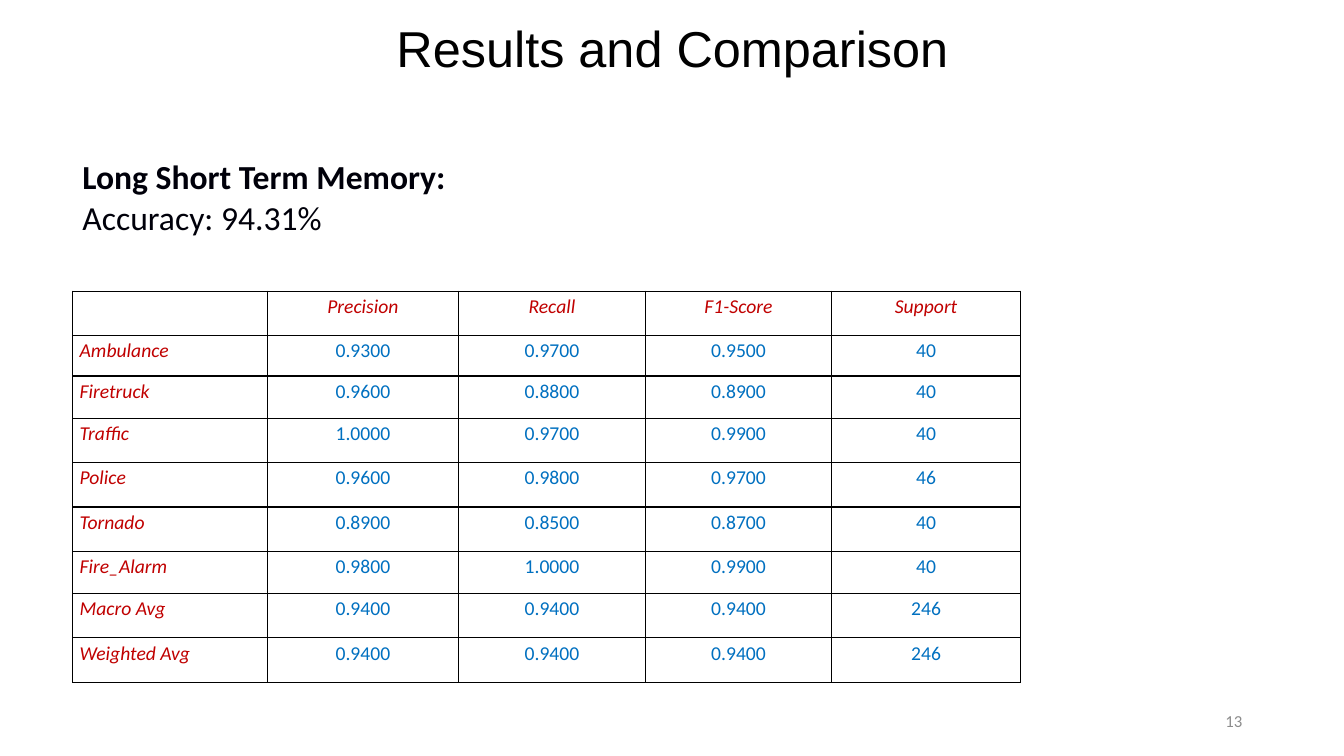
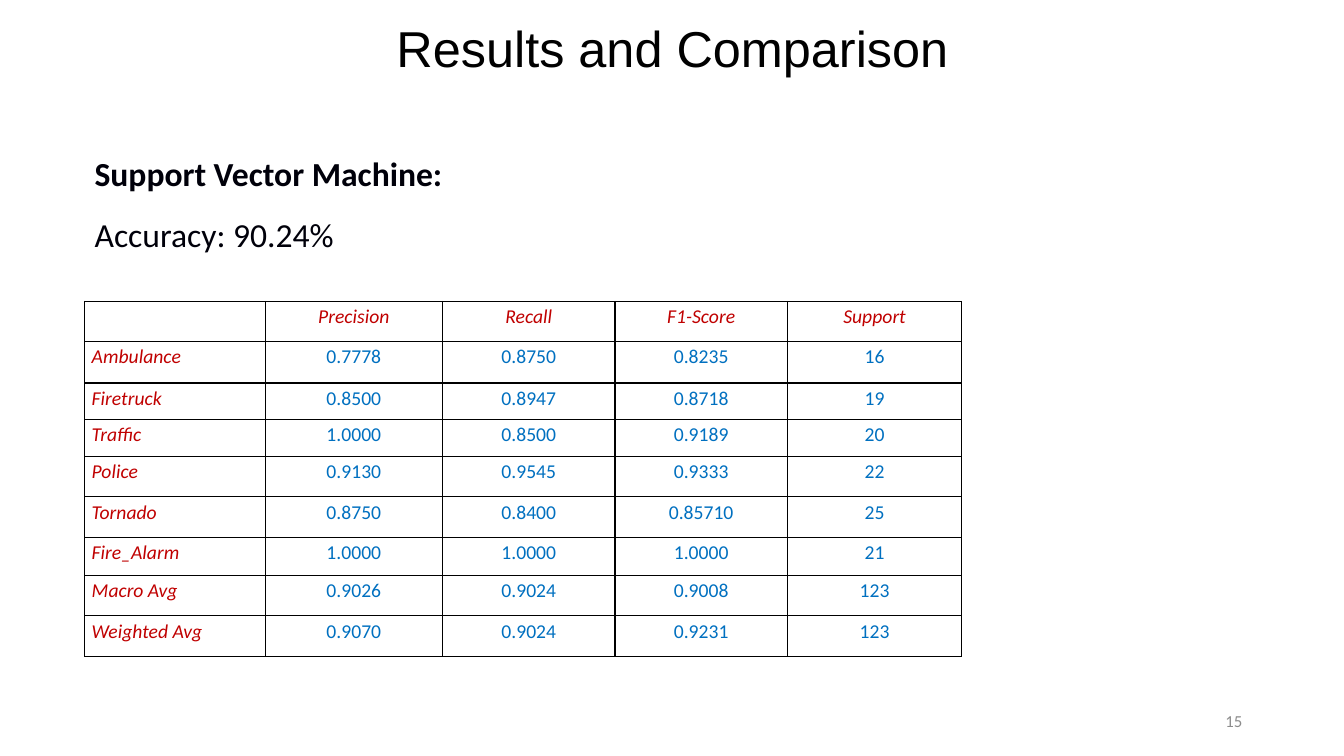
"""Build two slides that compare classifier results."""
from lxml import etree
from pptx import Presentation
from pptx import util as u
from pptx.dml.color import RGBColor
from pptx.enum import text
from pptx.oxml import ns

HUES = {"title": "000000", "body": "00000A", "label": "C00000",
        "value": "0070C0", "page": "8C8C8C", "rule": "000000"}
TITLE = "Results and Comparison"
HEADS = ["", "Precision", "Recall", "F1-Score", "Support"]
NAMES = ["Ambulance", "Firetruck", "Traffic", "Police", "Tornado",
         "Fire_Alarm", "Macro Avg", "Weighted Avg"]
SLIDES = [
    {
        "page": "13", "model": "Long Short Term Memory:", "score": "Accuracy: 94.31%",
        "box": (0.72, 1.5, 3.84, 0.91), "wrap": False, "lead": 1, "after": 0,
        "table": (0.72, 2.89),
        "cols": [1.93, 1.9, 1.85, 1.85, 1.87],
        "rows": [0.44, 0.4, 0.42, 0.44, 0.44, 0.44, 0.42, 0.44, 0.44],
        "data": [
            ("0.9300", "0.9700", "0.9500", "40"),
            ("0.9600", "0.8800", "0.8900", "40"),
            ("1.0000", "0.9700", "0.9900", "40"),
            ("0.9600", "0.9800", "0.9700", "46"),
            ("0.8900", "0.8500", "0.8700", "40"),
            ("0.9800", "1.0000", "0.9900", "40"),
            ("0.9400", "0.9400", "0.9400", "246"),
            ("0.9400", "0.9400", "0.9400", "246"),
        ],
    },
    {
        "page": "15", "model": "Support Vector Machine:", "score": "Accuracy: 90.24%",
        "box": (0.84, 1.41, 6.67, 1.14), "wrap": True, "lead": 1.15, "after": 10,
        "table": (0.84, 2.99),
        "cols": [1.79, 1.76, 1.71, 1.71, 1.73],
        "rows": [0.4, 0.41, 0.36, 0.37, 0.4, 0.4, 0.38, 0.4, 0.4],
        "data": [
            ("0.7778", "0.8750", "0.8235", "16"),
            ("0.8500", "0.8947", "0.8718", "19"),
            ("1.0000", "0.8500", "0.9189", "20"),
            ("0.9130", "0.9545", "0.9333", "22"),
            ("0.8750", "0.8400", "0.85710", "25"),
            ("1.0000", "1.0000", "1.0000", "21"),
            ("0.9026", "0.9024", "0.9008", "123"),
            ("0.9070", "0.9024", "0.9231", "123"),
        ],
    },
]
ALIGN = text.PP_ALIGN
ANCHOR = text.MSO_ANCHOR


def write(para, words, size, hue, face="Calibri", bold=False, slant=False,
          align=ALIGN.LEFT, lead=1, after=0):
    para.alignment = align
    para.line_spacing = lead
    para.space_after = u.Pt(after)
    run = para.add_run()
    run.text = words
    font = run.font
    font.name, font.size, font.bold, font.italic = face, u.Pt(size), bold, slant
    font.color.rgb = RGBColor.from_string(HUES[hue])


def add_box(slide, place, anchor=ANCHOR.MIDDLE, wrap=True):
    frame = slide.shapes.add_textbox(*map(u.Inches, place)).text_frame
    frame.word_wrap = wrap
    frame.vertical_anchor = anchor
    return frame


def add_rules(cell):
    props = cell._tc.get_or_add_tcPr()
    for spot, side in enumerate("LRTB"):
        line = etree.Element(ns.qn(f"a:ln{side}"), w=str(u.Pt(1)))
        fill = etree.SubElement(line, ns.qn("a:solidFill"))
        etree.SubElement(fill, ns.qn("a:srgbClr"), val=HUES["rule"])
        props.insert(spot, line)


def add_scores(slide, item):
    cols, rows = item["cols"], item["rows"]
    place = (*item["table"], sum(cols), sum(rows))
    table = slide.shapes.add_table(
        len(rows), len(cols), *map(u.Inches, place)).table
    table.first_row = table.horz_banding = False
    for col, width in zip(table.columns, cols):
        col.width = u.Inches(width)
    for row, height in zip(table.rows, rows):
        row.height = u.Inches(height)
    grid = [HEADS] + [(name, *vals) for name, vals in zip(NAMES, item["data"])]
    for r, line in enumerate(grid):
        for c, words in enumerate(line):
            cell = table.cell(r, c)
            cell.fill.background()
            add_rules(cell)
            cell.margin_left = cell.margin_right = u.Inches(0.07)
            cell.margin_top = cell.margin_bottom = 0
            if words:
                label = r == 0 or c == 0
                write(cell.text_frame.paragraphs[0], words, 14,
                      "label" if label else "value", slant=label,
                      align=ALIGN.CENTER if c else ALIGN.LEFT, lead=1.15, after=10)


def add_slide(deck, item):
    slide = deck.slides.add_slide(deck.slide_layouts[6])
    head = add_box(slide, (2.42, 0, 8.5, 0.94))
    write(head.paragraphs[0], TITLE, 36, "title", "Arial", align=ALIGN.CENTER)
    foot = add_box(slide, (9.42, 6.95, 3, 0.4))
    write(foot.paragraphs[0], item["page"], 12, "page", align=ALIGN.RIGHT)
    intro = add_box(slide, item["box"], ANCHOR.TOP, item["wrap"])
    gaps = {"lead": item["lead"], "after": item["after"]}
    write(intro.paragraphs[0], item["model"], 24, "body", bold=True, **gaps)
    write(intro.add_paragraph(), item["score"], 24, "body", **gaps)
    add_scores(slide, item)


def main():
    deck = Presentation()
    deck.slide_width, deck.slide_height = u.Inches(13.33), u.Inches(7.5)
    for item in SLIDES:
        add_slide(deck, item)
    deck.save("out.pptx")


if __name__ == "__main__":
    main()
